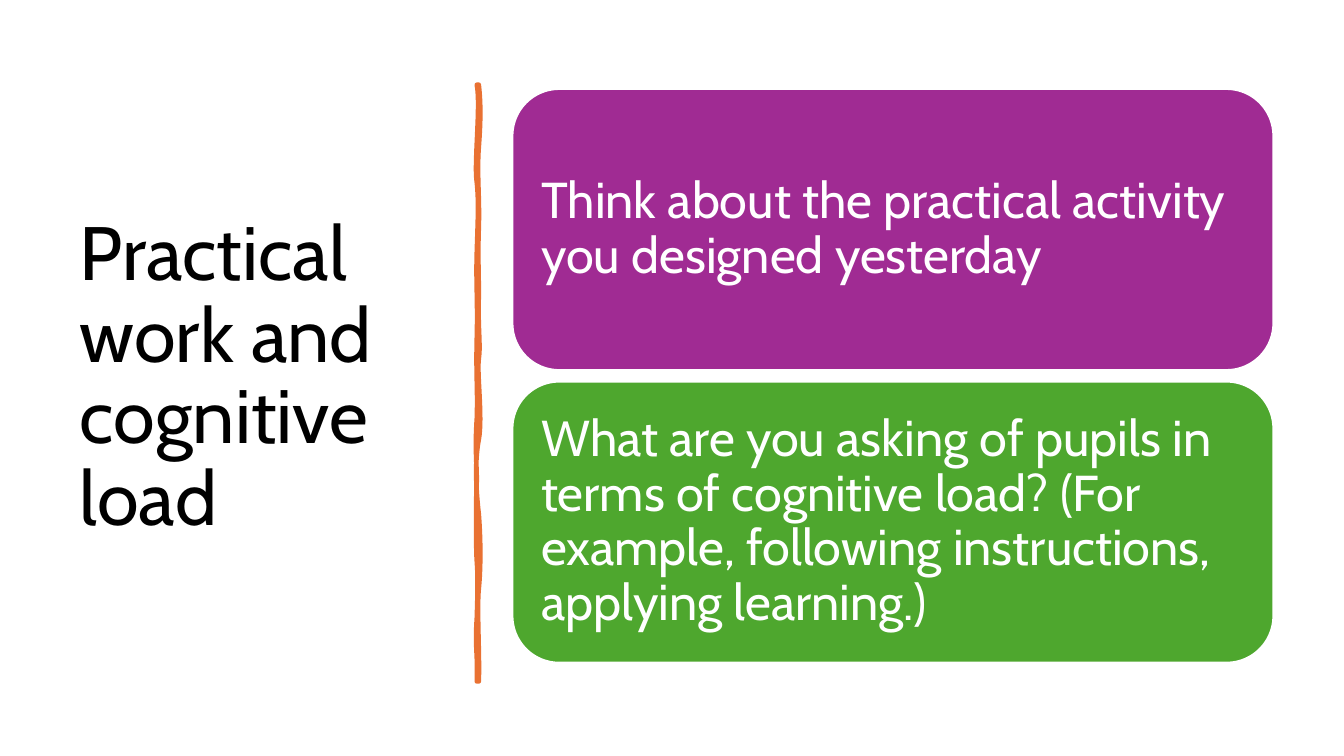
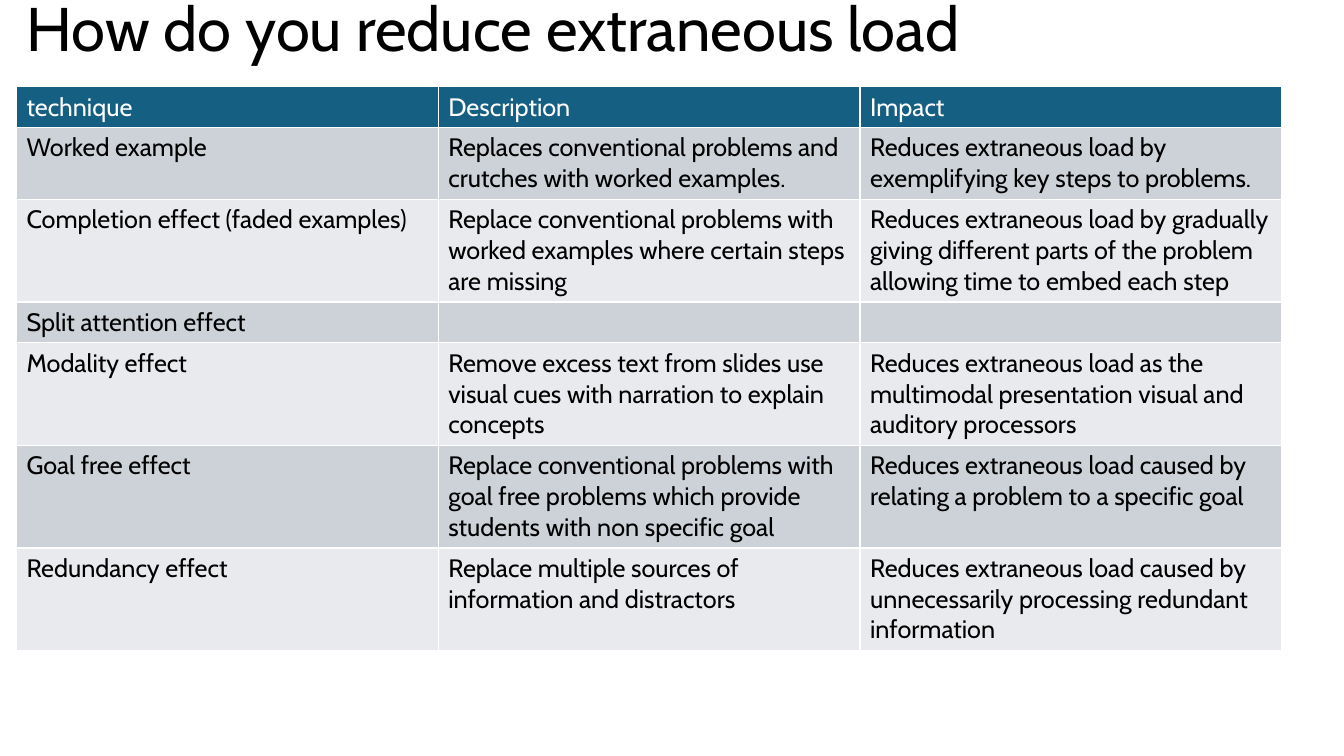
from itertools import cycle

from lxml.etree import SubElement
from pptx import Presentation
from pptx.dml.color import RGBColor
from pptx.enum.shapes import MSO_SHAPE as Shape
from pptx.enum.text import MSO_ANCHOR as Anchor, PP_ALIGN as Align
from pptx.oxml.ns import qn
from pptx.util import Inches, Pt

FONT = "Cabin"
BLACK = RGBColor(0x00, 0x00, 0x00)
WHITE = RGBColor(0xFF, 0xFF, 0xFF)
ORANGE = RGBColor(0xE9, 0x71, 0x32)
PURPLE = RGBColor(0xA0, 0x2B, 0x93)
GREEN = RGBColor(0x4E, 0xA7, 0x2E)
HEADER_BLUE = RGBColor(0x15, 0x60, 0x82)
BAND_DARK = RGBColor(0xCC, 0xD2, 0xD8)
BAND_LIGHT = RGBColor(0xE8, 0xEA, 0xED)

CELL = Inches(0.1)
COLUMNS, ROWS = 133.33, 75

CARD_LEFT, CARD_TOP, CARD_WIDTH, CARD_HEIGHT = 50.83, 8.82, 75.5, 27.9
CARD_STEP = 29.03
CARD_INSET = 1.5
TABLE_LEFT, TABLE_TOP, TABLE_COLUMN = 1.63, 8.6, 41.85
ROW_PADDING, ROW_LINE = 1, 3.06

CARDS = [
    ("Think about the practical activity you designed yesterday", PURPLE),
    ("What are you asking of pupils in terms of cognitive load? (For example, "
     "following instructions, applying learning.)", GREEN),
]

BRUSH_START = (47.5, 8.4)
BRUSH_CURVES = [
    ((47.7, 10.2), (47.7, 11.9), (47.5, 14.6)),
    ((47.3, 17.3), (47.6, 19.5), (47.5, 22.6)),
    ((47.4, 25.7), (47.5, 26.2), (47.5, 29.4)),
    ((47.4, 32.5), (47.7, 34.2), (47.5, 35.6)),
    ((47.3, 37), (47.9, 41.4), (47.5, 43.6)),
    ((47.1, 45.7), (47.2, 48.4), (47.5, 51)),
    ((47.7, 53.6), (47.7, 56.4), (47.5, 58.4)),
    ((47.3, 60.3), (47.6, 65), (47.5, 67.6)),
    ((47.4, 67.6), (47.3, 67.6), (47.3, 67.6)),
    ((47.4, 64.6), (47.1, 64.4), (47.3, 61.3)),
    ((47.4, 58.3), (47.4, 57), (47.3, 55.7)),
    ((47.2, 54.4), (47.2, 49.5), (47.3, 47.7)),
    ((47.3, 45.9), (47.1, 44.5), (47.3, 41.5)),
    ((47.4, 38.6), (47.2, 37.3), (47.3, 33.5)),
    ((47.4, 29.8), (47.2, 28.1), (47.3, 25)),
    ((47.4, 21.8), (47.5, 20), (47.3, 18.1)),
    ((47, 16.3), (47.7, 10.4), (47.3, 8.4)),
]

TECHNIQUES = [
    (1, ("technique", "Description", "Impact")),
    (2, ("Worked example",
         "Replaces conventional problems and crutches with worked examples.",
         "Reduces extraneous load by exemplifying key steps to problems.")),
    (3, ("Completion effect (faded examples)",
         "Replace conventional problems with worked examples where certain steps are missing",
         "Reduces extraneous load by gradually giving different parts of the problem "
         "allowing time to embed each step")),
    (1, ("Split attention effect", "", "")),
    (3, ("Modality effect",
         "Remove excess text from slides use visual cues with narration to explain concepts",
         "Reduces extraneous load as the multimodal presentation visual and auditory processors")),
    (3, ("Goal free effect",
         "Replace conventional problems with goal free problems which provide students "
         "with non specific goal",
         "Reduces extraneous load caused by relating a problem to a specific goal")),
    (3, ("Redundancy effect",
         "Replace multiple sources of information and distractors",
         "Reduces extraneous load caused by unnecessarily processing redundant information")),
]


def cells(*counts):
    return [round(count * CELL) for count in counts]


def apply_format(target, values):
    for name, value in values.items():
        setattr(target, name, value)


def write_text(frame, text, size, color, spacing=0.9):
    paragraph = frame.paragraphs[0]
    apply_format(paragraph, {"alignment": Align.LEFT, "line_spacing": spacing})
    if text:
        run = paragraph.add_run()
        run.text = text
        apply_format(run.font, {"name": FONT, "size": Pt(size), "bold": False})
        run.font.color.rgb = color


def paint(shape, fill, line, width):
    shape.shadow.inherit = False
    shape.fill.solid()
    shape.fill.fore_color.rgb = fill
    shape.line.color.rgb = line
    shape.line.width = Pt(width)


def add_title(slide, text, place, size):
    frame = slide.shapes.add_textbox(*cells(*place)).text_frame
    apply_format(frame, {"word_wrap": True, "vertical_anchor": Anchor.MIDDLE})
    write_text(frame, text, size, BLACK)


def add_card(slide, position, text, fill):
    top = CARD_TOP + position * CARD_STEP
    card = slide.shapes.add_shape(
        Shape.ROUNDED_RECTANGLE, *cells(CARD_LEFT, top, CARD_WIDTH, CARD_HEIGHT))
    paint(card, fill, WHITE, 1.5)
    inset, = cells(CARD_INSET)
    sides = ("left", "top", "right", "bottom")
    apply_format(card.text_frame, {
        "word_wrap": True,
        "vertical_anchor": Anchor.MIDDLE,
        **{f"margin_{side}": inset for side in sides},
    })
    write_text(card.text_frame, text, 36, WHITE)


def bend_segments(shape, curves):
    segments = list(shape._element.iter(qn("a:lnTo")))
    for segment, curve in zip(segments, curves):
        outline = segment.getparent()
        bend = SubElement(outline, qn("a:cubicBezTo"))
        for point in curve:
            x, y = cells(*point)
            SubElement(bend, qn("a:pt"), x=str(x - shape.left), y=str(y - shape.top))
        outline.replace(segment, bend)


def add_brush_stroke(slide):
    outline = slide.shapes.build_freeform(*cells(*BRUSH_START))
    outline.add_line_segments([cells(*curve[-1]) for curve in BRUSH_CURVES], close=True)
    stroke = outline.convert_to_shape()
    bend_segments(stroke, BRUSH_CURVES)
    paint(stroke, ORANGE, ORANGE, 3.25)


def add_borders(cell):
    properties = cell._tc.get_or_add_tcPr()
    for side in "LRTB":
        border = SubElement(properties, qn(f"a:ln{side}"), w=str(Pt(1)))
        fill = SubElement(border, qn("a:solidFill"))
        SubElement(fill, qn("a:srgbClr"), val=str(WHITE))


def add_techniques(slide):
    heights = [ROW_PADDING + lines * ROW_LINE for lines, _ in TECHNIQUES]
    column_count = len(TECHNIQUES[0][1])
    table = slide.shapes.add_table(
        len(TECHNIQUES), column_count,
        *cells(TABLE_LEFT, TABLE_TOP, column_count * TABLE_COLUMN, sum(heights))).table
    apply_format(table, {"first_row": False, "horz_banding": False})
    for column in table.columns:
        column.width, = cells(TABLE_COLUMN)
    bands = cycle((BAND_DARK, BAND_LIGHT))
    for index, (row, height, (_, texts)) in enumerate(zip(table.rows, heights, TECHNIQUES)):
        row.height, = cells(height)
        header = index == 0
        fill = HEADER_BLUE if header else next(bands)
        for cell, text in zip(row.cells, texts):
            add_borders(cell)
            cell.fill.solid()
            cell.fill.fore_color.rgb = fill
            write_text(cell.text_frame, text, 18, WHITE if header else BLACK, 1.0)


def main():
    deck = Presentation()
    deck.slide_width, deck.slide_height = cells(COLUMNS, ROWS)
    blank = deck.slide_layouts[6]

    activity = deck.slides.add_slide(blank)
    add_title(activity, "Practical work and cognitive load", (6.95, 7, 37.4, 61.1), 54)
    add_brush_stroke(activity)
    for position, (text, fill) in enumerate(CARDS):
        add_card(activity, position, text, fill)

    reduction = deck.slides.add_slide(blank)
    add_title(reduction, "How do you reduce extraneous load", (1.65, -4.1, 115, 14.5), 44)
    add_techniques(reduction)

    deck.save("out.pptx")


if __name__ == "__main__":
    main()
